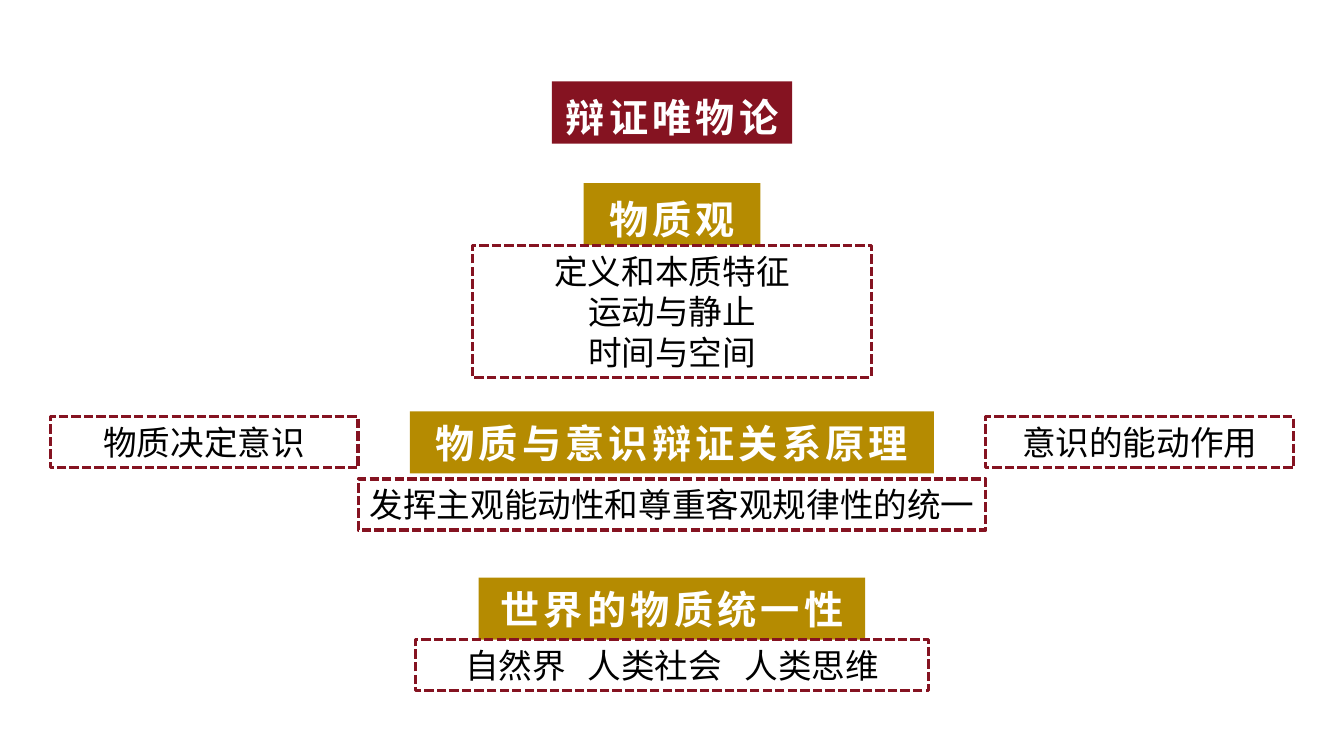
from dataclasses import dataclass

from lxml import etree
from pptx import Presentation
from pptx.dml.color import RGBColor
from pptx.enum.dml import MSO_LINE_DASH_STYLE as Dash
from pptx.enum.shapes import MSO_SHAPE as Shape
from pptx.enum.text import MSO_ANCHOR as Anchor, MSO_AUTO_SIZE as AutoSize, PP_ALIGN as Align
from pptx.oxml.ns import qn
from pptx.util import Pt


@dataclass(frozen=True)
class Theme:
    font: str = "Noto Sans CJK SC"
    crimson: RGBColor = RGBColor(0x85, 0x13, 0x21)
    gold: RGBColor = RGBColor(0xB5, 0x8B, 0x01)
    white: RGBColor = RGBColor(0xFF, 0xFF, 0xFF)
    black: RGBColor = RGBColor(0x00, 0x00, 0x00)
    heading_size: float = 28
    body_size: float = 24
    body_leading: float = 28.8
    outline: float = 2.25


THEME = Theme()
SLIDE_WIDTH, SLIDE_HEIGHT = 960, 540
BANNER_HEIGHT = 44.4
LINE_HEIGHT = 36.4


def centered(width, top, height):
    """Box (left, top, width, height) centred across the slide."""
    return (SLIDE_WIDTH - width) / 2, top, width, height


def set_text(shape, text, *, size, color, bold=False, tracking=0, spacing=None, tab_stops=()):
    frame = shape.text_frame
    frame.auto_size = AutoSize.NONE
    frame.word_wrap = True
    frame.vertical_anchor = Anchor.MIDDLE
    frame.margin_left = frame.margin_right = Pt(7.2)
    frame.margin_top = frame.margin_bottom = Pt(3.6)
    frame.text = text
    for paragraph in frame.paragraphs:
        paragraph.alignment = Align.LEFT if tab_stops else Align.CENTER
        paragraph.line_spacing = spacing
        if tab_stops:
            tab_list = etree.SubElement(paragraph._p.get_or_add_pPr(), qn("a:tabLst"))
            for stop in tab_stops:
                etree.SubElement(tab_list, qn("a:tab"), pos=str(Pt(stop)), algn="ctr")
        for run in paragraph.runs:
            font = run.font
            font.name, font.size, font.bold = THEME.font, Pt(size), bold
            font.color.rgb = color
            properties = run._r.get_or_add_rPr()
            properties.set("spc", str(tracking * 100))
            etree.SubElement(properties, qn("a:ea"), typeface=THEME.font)


def add_rectangle(slide, box):
    shape = slide.shapes.add_shape(Shape.RECTANGLE, *map(Pt, box))
    shape.shadow.inherit = False
    return shape


def format_banner(shape, text, color, spacing):
    shape.fill.solid()
    shape.fill.fore_color.rgb = color
    shape.line.fill.background()
    set_text(shape, text, size=THEME.heading_size, color=THEME.white,
             bold=True, tracking=3, spacing=spacing)


def place_title(slide, box, text):
    title = slide.shapes.title
    title.left, title.top, title.width, title.height = map(Pt, box)
    format_banner(title, text, THEME.crimson, 1.2)


def add_banner(slide, box, text, spacing=1.0):
    format_banner(add_rectangle(slide, box), text, THEME.gold, spacing)


def add_dashed_box(slide, box, text, tab_stops=()):
    shape = add_rectangle(slide, box)
    shape.fill.background()
    shape.line.color.rgb = THEME.crimson
    shape.line.width = Pt(THEME.outline)
    shape.line.dash_style = Dash.SQUARE_DOT
    set_text(shape, text, size=THEME.body_size, color=THEME.black,
             spacing=Pt(THEME.body_leading), tab_stops=tab_stops)


def add_matter_view(slide, top):
    add_banner(slide, centered(126.4, top, BANNER_HEIGHT), "物质观", spacing=1.2)
    add_dashed_box(slide, centered(285.2, top + BANNER_HEIGHT, 94.4),
                   "定义和本质特征\n运动与静止\n时间与空间")


def add_matter_and_mind(slide, top):
    add_banner(slide, centered(374.4, top, BANNER_HEIGHT), "物质与意识辩证关系原理")
    # Side boxes mirror each other, level with the middle of the banner
    side_margin, side_width = 36, 219.8
    side_top = top + (BANNER_HEIGHT - LINE_HEIGHT) / 2
    for left, text in ((side_margin, "物质决定意识"),
                       (SLIDE_WIDTH - side_margin - side_width, "意识的能动作用")):
        add_dashed_box(slide, (left, side_top, side_width, LINE_HEIGHT), text)
    # The lower box spans the gap between the side boxes
    gap = SLIDE_WIDTH - 2 * (side_margin + side_width)
    add_dashed_box(slide, centered(gap, top + BANNER_HEIGHT + 4, LINE_HEIGHT),
                   "发挥主观能动性和尊重客观规律性的统一")


def add_world_unity(slide, top):
    add_banner(slide, centered(276.2, top, BANNER_HEIGHT), "世界的物质统一性")
    add_dashed_box(slide, centered(366.6, top + BANNER_HEIGHT, LINE_HEIGHT),
                   "\t自然界\t人类社会\t人类思维", tab_stops=(64.4, 164, 276))


def main():
    presentation = Presentation()
    presentation.slide_width, presentation.slide_height = Pt(SLIDE_WIDTH), Pt(SLIDE_HEIGHT)
    slide = presentation.slides.add_slide(presentation.slide_layouts[5])
    # Title, then the three themes from top to bottom
    place_title(slide, centered(171.6, 58.2, BANNER_HEIGHT), "辩证唯物论")
    add_matter_view(slide, 130.8)
    add_matter_and_mind(slide, 293.8)
    add_world_unity(slide, 412.6)
    presentation.save("out.pptx")


if __name__ == "__main__":
    main()
